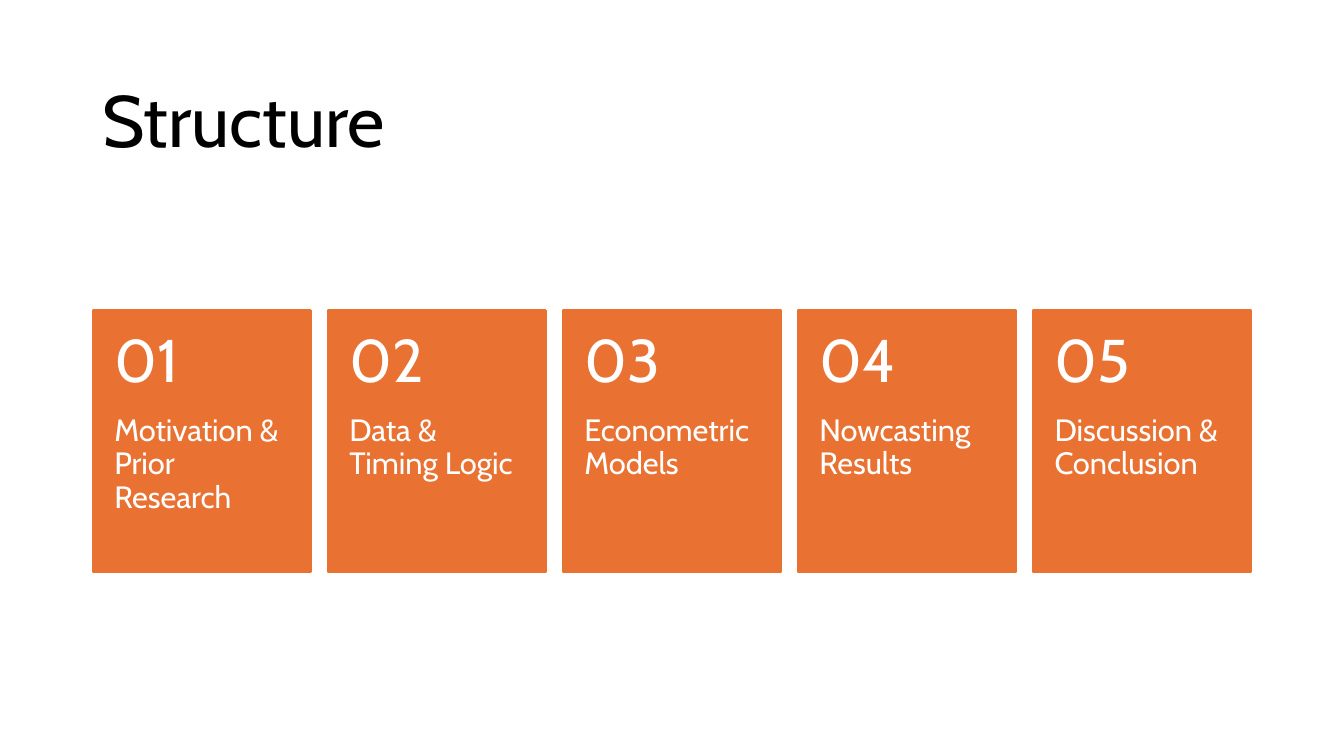
from pptx import Presentation
from pptx.dml.color import RGBColor
from pptx.enum.shapes import MSO_SHAPE
from pptx.enum.text import MSO_ANCHOR, PP_ALIGN
from pptx.util import Pt


def colour(hex_code):
    return RGBColor.from_string(hex_code)


def write(frame, text, size, ink, font="Cabin", anchor=MSO_ANCHOR.TOP, insets=(7.2, 3.6, 7.2, 3.6)):
    frame.word_wrap = True
    frame.vertical_anchor = anchor
    frame.margin_left, frame.margin_top, frame.margin_right, frame.margin_bottom = map(Pt, insets)
    frame.text = text
    paragraph = frame.paragraphs[0]
    paragraph.alignment = PP_ALIGN.LEFT
    paragraph.line_spacing = 0.9
    paragraph.space_before = Pt(0)
    paragraph.font.name = font
    paragraph.font.size = Pt(size)
    paragraph.font.color.rgb = colour(ink)


class StructureSlide:
    accent = "E97132"
    heading_ink = "000000"
    card_ink = "FFFFFF"

    def __init__(self, deck):
        self.slide = deck.slides.add_slide(deck.slide_layouts[5])

    def title(self, text, left, top, width, height):
        heading = self.slide.shapes.title
        heading.left, heading.top, heading.width, heading.height = map(Pt, (left, top, width, height))
        write(heading.text_frame, text, 52, self.heading_ink, anchor=MSO_ANCHOR.MIDDLE)

    def panel(self, left, top, width, height):
        panel = self.slide.shapes.add_shape(MSO_SHAPE.RECTANGLE, *map(Pt, (left, top, width, height)))
        panel.shadow.inherit = False
        panel.fill.solid()
        panel.fill.fore_color.rgb = colour(self.accent)
        panel.line.color.rgb = colour(self.accent)
        panel.line.width = Pt(1.5)

    def label(self, text, left, top, width, height, **style):
        box = self.slide.shapes.add_textbox(*map(Pt, (left, top, width, height)))
        write(box.text_frame, text, ink=self.card_ink, **style)

    def card(self, number, topic, left, top, width, height):
        number_height = height * 0.4
        self.panel(left, top, width, height)
        self.label(topic, left, top + number_height, width, height - number_height,
                   size=22, insets=(15.36, 0, 15.36, 25.9))
        self.label(f"{number:02}", left, top, width, number_height,
                   size=43, anchor=MSO_ANCHOR.MIDDLE, insets=(15.36, 13, 15.36, 13))


def main():
    deck = Presentation()
    deck.slide_width, deck.slide_height = Pt(960), Pt(540)
    structure = StructureSlide(deck)
    structure.title("Structure", 66, 43.75, 828, 89.4)

    topics = [
        "Motivation & Prior Research",
        "Data & Timing Logic",
        "Econometric Models",
        "Nowcasting Results",
        "Discussion & Conclusion",
    ]
    first_left, pitch = 66.3, 167.9
    for index, topic in enumerate(topics):
        structure.card(index + 1, topic, first_left + index * pitch, 221.8, 155.5, 186.6)

    deck.save("out.pptx")


if __name__ == "__main__":
    main()
